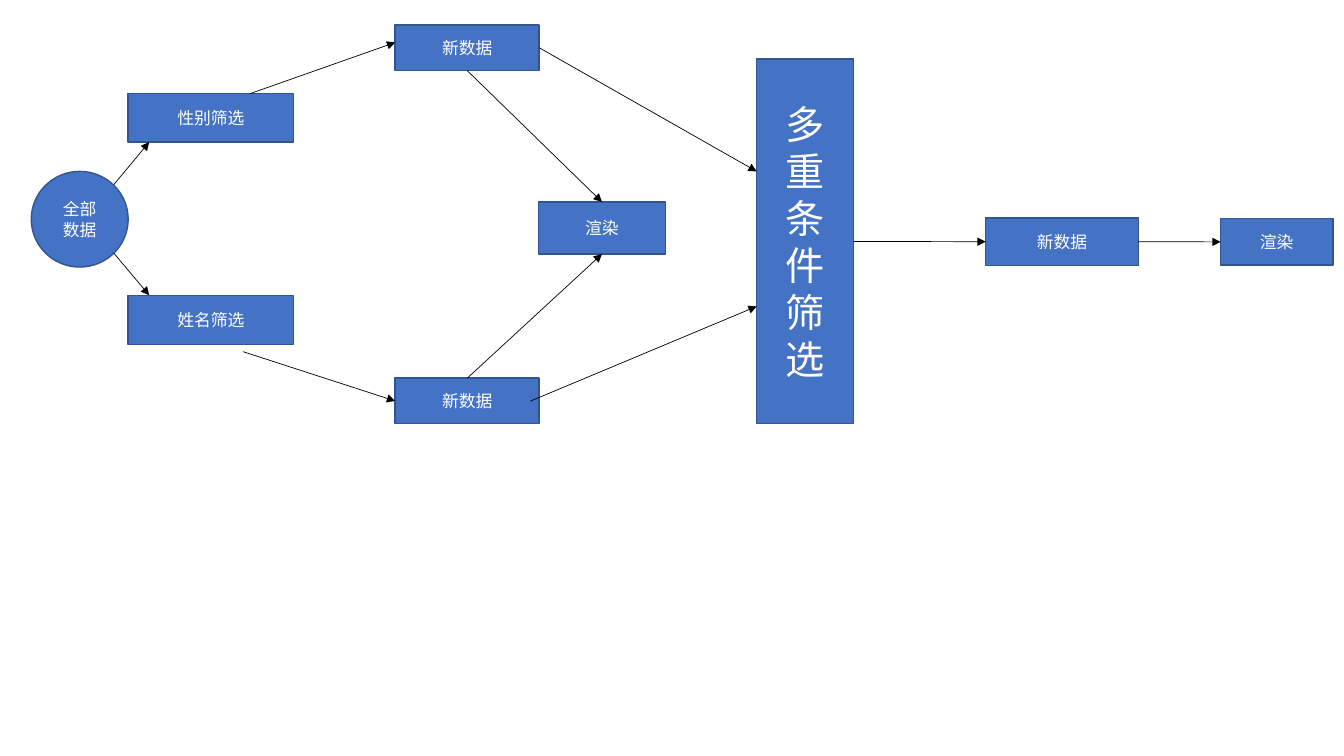
from pptx import Presentation
from pptx.dml.color import RGBColor
from pptx.enum.shapes import MSO_CONNECTOR, MSO_SHAPE
from pptx.enum.text import MSO_ANCHOR, PP_ALIGN
from pptx.oxml.ns import qn
from pptx.util import Cm, Pt
from lxml.etree import SubElement

COLORS = {"fill": "4472C4", "outline": "325491", "text": "FFFFFF", "arrow": "000000"}
FONT = "Noto Sans CJK SC"
TOP, LEFT, BOTTOM, RIGHT = range(4)

prs = Presentation()
prs.slide_width, prs.slide_height = Cm(33.87), Cm(19.05)
slide = prs.slides.add_slide(prs.slide_layouts[6])


def add_step(text, left, top, width, height, size=12, kind=MSO_SHAPE.RECTANGLE):
    step = slide.shapes.add_shape(kind, Cm(left), Cm(top), Cm(width), Cm(height))
    step.shadow.inherit = False
    step.fill.solid()
    step.fill.fore_color.rgb = RGBColor.from_string(COLORS["fill"])
    step.line.color.rgb = RGBColor.from_string(COLORS["outline"])
    step.line.width = Pt(1)
    frame = step.text_frame
    frame.word_wrap = True
    frame.vertical_anchor = MSO_ANCHOR.MIDDLE
    frame.text = text
    paragraph = frame.paragraphs[0]
    paragraph.alignment = PP_ALIGN.CENTER
    paragraph.font.size = Pt(size)
    paragraph.font.name = FONT
    paragraph.font.color.rgb = RGBColor.from_string(COLORS["text"])
    # Chinese characters take the East Asian typeface
    defaults = next(step._element.iter(qn("a:defRPr")))
    SubElement(defaults, qn("a:ea")).set("typeface", FONT)
    return step


def add_arrow(start, end):
    """Each end is a point (x, y) in cm or a pair (step, side)."""
    free = [(0, 0) if hasattr(p[0], "text_frame") else p for p in (start, end)]
    arrow = slide.shapes.add_connector(
        MSO_CONNECTOR.STRAIGHT, *[Cm(value) for point in free for value in point])
    if hasattr(start[0], "text_frame"):
        arrow.begin_connect(*start)
    if hasattr(end[0], "text_frame"):
        arrow.end_connect(*end)
    arrow.line.color.rgb = RGBColor.from_string(COLORS["arrow"])
    arrow.line.width = Pt(0.5)
    SubElement(arrow.line._get_or_add_ln(), qn("a:tailEnd")).set("type", "triangle")
    SubElement(arrow._element.spPr, qn("a:effectLst"))


# Source data and the two filters
all_data = add_step("全部数据", 0.79, 4.32, 2.44, 2.41, kind=MSO_SHAPE.OVAL)
gender_filter = add_step("性别筛选", 3.23, 2.36, 4.17, 1.22)
name_filter = add_step("姓名筛选", 3.23, 7.44, 4.17, 1.24)

# Filtered data and its rendering
gender_data = add_step("新数据", 9.96, 0.63, 3.63, 1.15)
name_data = add_step("新数据", 9.96, 9.53, 3.63, 1.15)
render = add_step("渲染", 13.57, 5.09, 3.2, 1.31)

# Combined filter and its result
combined_filter = add_step("多重条件筛选", 19.07, 1.49, 2.44, 9.19, size=28)
combined_data = add_step("新数据", 24.84, 5.49, 3.85, 1.2)
combined_render = add_step("渲染", 30.76, 5.51, 2.83, 1.17)

# Flow between the steps
for start, end in [
    ((2.87, 4.65), (3.76, 3.58)),
    ((2.87, 6.38), (3.76, 7.44)),
    ((6.3, 2.36), (9.96, 1.07)),
    ((6.12, 8.86), (name_data, LEFT)),
    ((gender_data, RIGHT), (19.07, 4.32)),
    ((13.36, 10.11), (19.07, 7.72)),
    ((gender_data, BOTTOM), (render, TOP)),
    ((name_data, TOP), (render, BOTTOM)),
    ((combined_filter, RIGHT), (combined_data, LEFT)),
    ((combined_data, RIGHT), (combined_render, LEFT)),
]:
    add_arrow(start, end)

prs.save("out.pptx")
